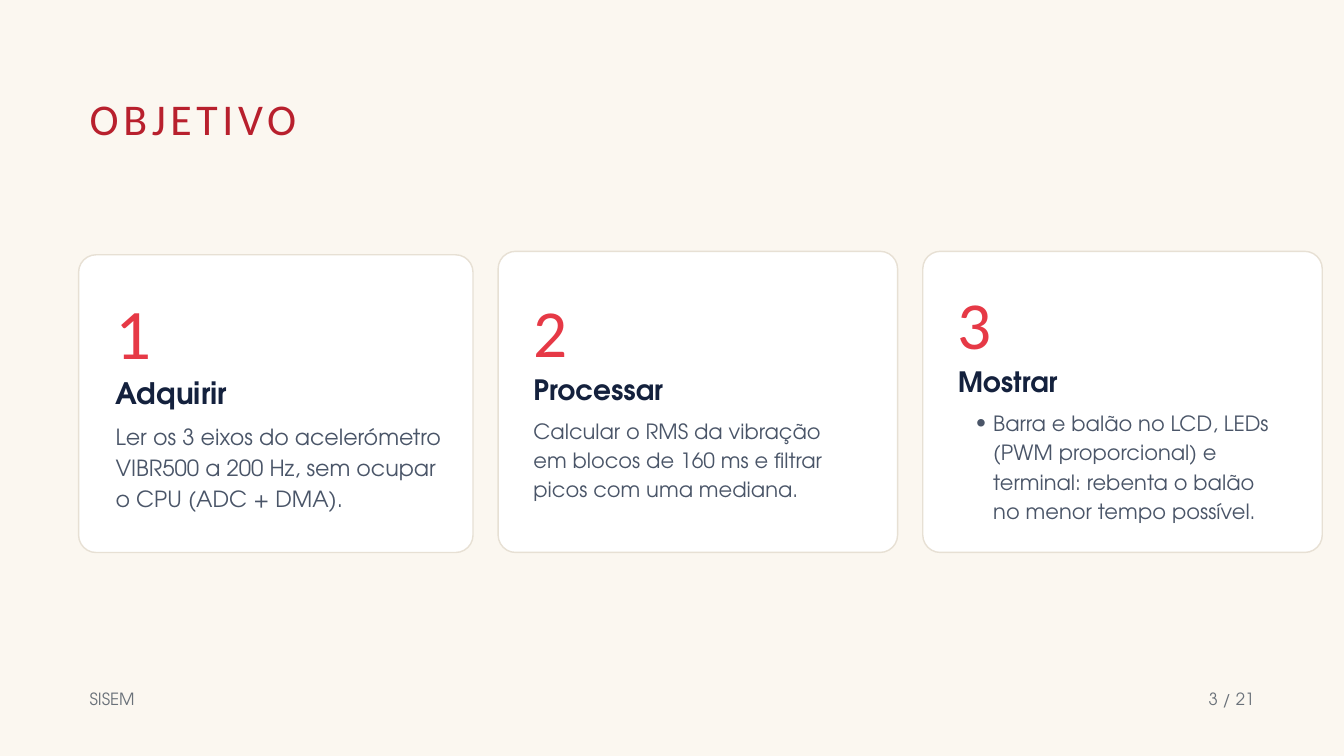
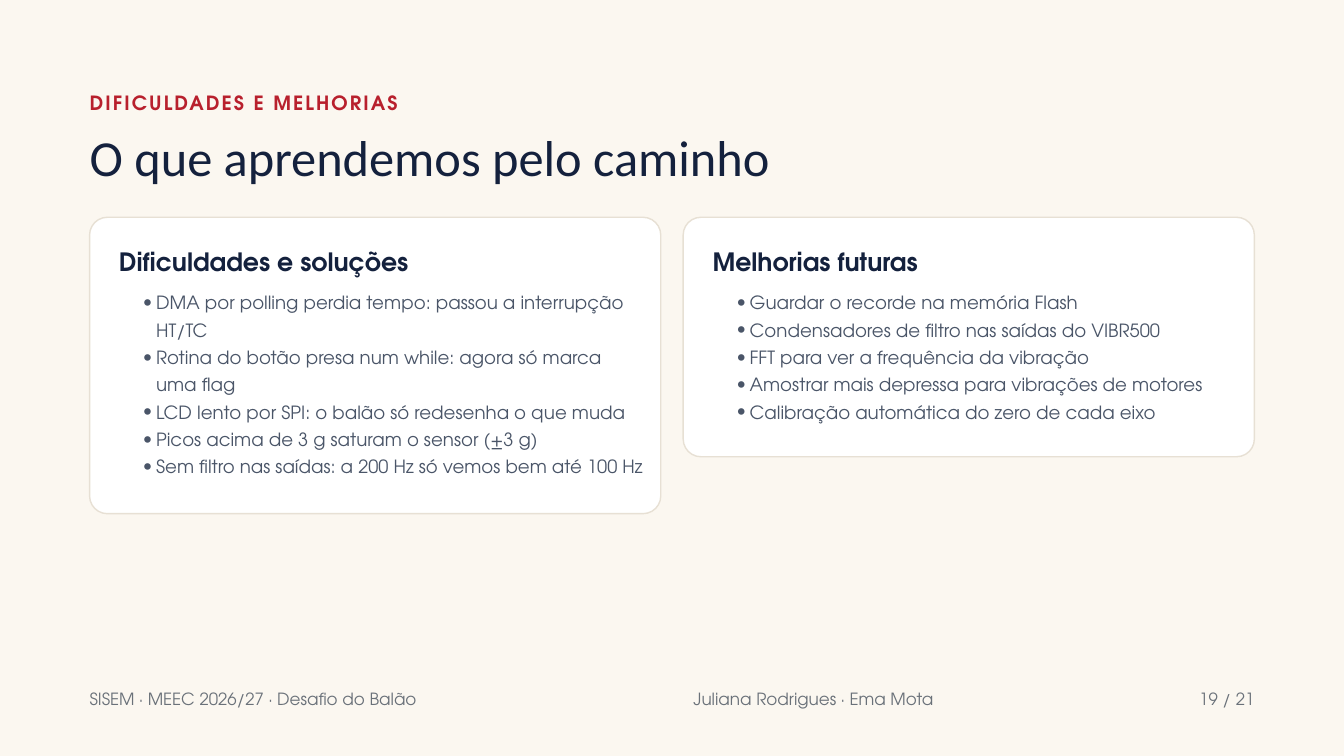
import pptx
import pptx.util
import pptx.dml.color
import pptx.enum.shapes
import pptx.enum.text
from lxml import etree

Pt = pptx.util.Pt
ALIGN = pptx.enum.text.PP_ALIGN
COLOURS = {
    "paper": "FBF7F0", "card": "FFFFFF", "border": "E7E0D4",
    "label": "B8202D", "number": "E63946", "heading": "14213D",
    "body": "4A5568", "footer": "6A7179",
}
DISPLAY, TEXT = "Calibri", "TeX Gyre Adventor"
MARGIN, RIGHT, TITLE_WIDTH = 96, 1344, 1285
FOOTER_TOP = 734.5

GOALS = [
    {"heading": "Adquirir", "card": (84.25, 273, 422.6, 319), "text": (123.8, 324),
     "scale": 1.057, "bulleted": False,
     "body": "Ler os 3 eixos do acelerómetro VIBR500 a 200 Hz, sem ocupar o CPU (ADC + DMA)."},
    {"heading": "Processar", "card": (533.7, 269.3, 428, 322.6), "text": (571.5, 325.5),
     "scale": 1, "bulleted": False,
     "body": "Calcular o RMS da vibração em blocos de 160 ms e filtrar picos com uma mediana."},
    {"heading": "Mostrar", "card": (988.7, 269.3, 428, 322.6), "text": (1026.2, 317.3),
     "scale": 1, "bulleted": True,
     "body": "Barra e balão no LCD, LEDs (PWM proporcional) e terminal: "
             "rebenta o balão no menor tempo possível."},
]
LESSONS = [
    {"heading": "Dificuldades e soluções", "height": 317.6, "points": [
        "DMA por polling perdia tempo: passou a interrupção HT/TC",
        "Rotina do botão presa num while: agora só marca uma flag",
        "LCD lento por SPI: o balão só redesenha o que muda",
        "Picos acima de 3 g saturam o sensor (±3 g)",
        "Sem filtro nas saídas: a 200 Hz só vemos bem até 100 Hz"]},
    {"heading": "Melhorias futuras", "height": 256.6, "points": [
        "Guardar o recorde na memória Flash",
        "Condensadores de filtro nas saídas do VIBR500",
        "FFT para ver a frequência da vibração",
        "Amostrar mais depressa para vibrações de motores",
        "Calibração automática do zero de cada eixo"]},
]


def rgb(name):
    return pptx.dml.color.RGBColor.from_string(COLOURS[name])


def write(holder, box, lines, size, colour, leading, font=TEXT, bold=False,
          align=ALIGN.LEFT, tracking=0, indent=0):
    holder.left, holder.top, holder.width, holder.height = map(Pt, box)
    frame = holder.text_frame
    frame.word_wrap = True
    frame.auto_size = pptx.enum.text.MSO_AUTO_SIZE.NONE
    frame.vertical_anchor = pptx.enum.text.MSO_ANCHOR.TOP
    frame.margin_left = frame.margin_top = frame.margin_right = frame.margin_bottom = 0
    for index, line in enumerate(lines):
        paragraph = frame.paragraphs[0] if index == 0 else frame.add_paragraph()
        run = paragraph.add_run()
        run.text = line
        if tracking:
            run._r.get_or_add_rPr().set("spc", str(round(tracking * 100)))
        paragraph.alignment = align
        paragraph.line_spacing = Pt(leading)
        paragraph.space_before = Pt(0)
        if indent:
            paragraph.level = 1
            properties = paragraph._p.get_or_add_pPr()
            properties.set("marL", str(Pt(indent)))
            properties.set("indent", str(Pt(-indent / 2)))
            for tag, key, value in (("a:buFont", "typeface", font), ("a:buChar", "char", "•")):
                etree.SubElement(properties, pptx.oxml.ns.qn(tag)).set(key, value)
        paragraph.font.size = Pt(size)
        paragraph.font.name = font
        paragraph.font.bold = bold
        paragraph.font.color.rgb = rgb(colour)


def add_text(slide, *args, **style):
    write(slide.shapes.add_textbox(0, 0, 0, 0), *args, **style)


def add_card(slide, box, radius):
    card = slide.shapes.add_shape(
        pptx.enum.shapes.MSO_SHAPE.ROUNDED_RECTANGLE, *map(Pt, box))
    card.adjustments[0] = radius / min(box[2:])
    card.shadow.inherit = False
    card.fill.solid()
    card.fill.fore_color.rgb = rgb("card")
    card.line.color.rgb = rgb("border")
    card.line.width = Pt(1.5)


def add_footer(slide, course, page, authors=None):
    add_text(slide, (MARGIN, FOOTER_TOP, 408, 30), [course], 18, "footer", 25.2)
    if authors:
        add_text(slide, (743, FOOTER_TOP, 283, 30), [authors], 18, "footer", 25.2)
    add_text(slide, (RIGHT - 70, FOOTER_TOP, 70, 30), [f"{page} / 21"], 18, "footer", 25.2,
             align=ALIGN.RIGHT)


def build_goals(slide):
    write(slide.shapes.title, (MARGIN, 89.3, TITLE_WIDTH, 62.6), ["OBJETIVO"], 47, "label", 65.8,
          font=DISPLAY, tracking=5)
    for number, goal in enumerate(GOALS, 1):
        add_card(slide, goal["card"], 18.7)
        left, top = goal["text"]
        scale = goal["scale"]
        width = 334.5 * scale
        add_text(slide, (left, top, width, 64.8 * scale), [str(number)], 72 * scale,
                 "number", 72 * scale, font=DISPLAY)
        add_text(slide, (left, top + 73.5 * scale, width, 38.9 * scale), [goal["heading"]],
                 30 * scale, "heading", 36 * scale, bold=True)
        add_text(slide, (left, top + 118 * scale, width, 101 * scale), [goal["body"]],
                 22.5 * scale, "body", 31.5 * scale, indent=38 if goal["bulleted"] else 0)
    add_footer(slide, "SISEM", 3)


def build_lessons(slide):
    add_text(slide, (MARGIN, 92.9, TITLE_WIDTH, 35.3), ["DIFICULDADES E MELHORIAS"], 21, "label",
             29.4, bold=True, tracking=2.2)
    write(slide.shapes.title, (MARGIN, 141, TITLE_WIDTH, 58.3),
          ["O que aprendemos pelo caminho"], 54, "heading", 59.4, font=DISPLAY)
    width, gap, top = 612, 24, 232.8
    for column, lesson in enumerate(LESSONS):
        left = MARGIN + column * (width + gap)
        add_card(slide, (left, top, width, lesson["height"]), 19)
        add_text(slide, (left + 31.5, top + 31.5, 565, 35.3), [lesson["heading"]], 27, "heading",
                 32.4, bold=True)
        add_text(slide, (left + 43.2, top + 74, 553, 155), lesson["points"], 19.5, "body", 29.25,
                 indent=28)
    add_footer(slide, "SISEM · MEEC 2026/27 · Desafio do Balão", 19,
               "Juliana Rodrigues · Ema Mota")


def main():
    deck = pptx.Presentation()
    deck.slide_width, deck.slide_height = Pt(1440), Pt(810)
    background = deck.slide_master.background.fill
    background.solid()
    background.fore_color.rgb = rgb("paper")
    for build in (build_goals, build_lessons):
        build(deck.slides.add_slide(deck.slide_layouts[5]))
    deck.save("out.pptx")


if __name__ == "__main__":
    main()
